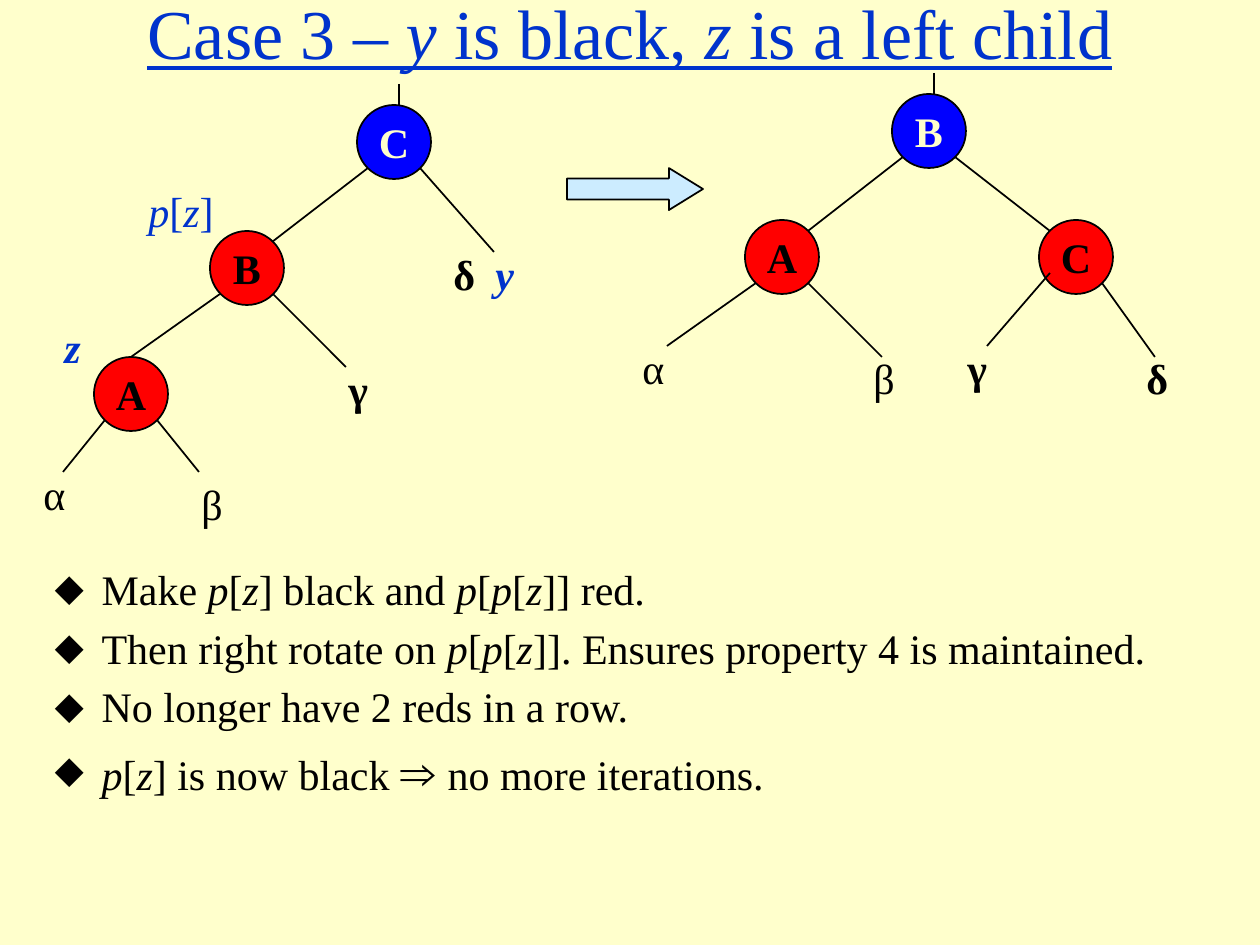
"""Build the slide on red-black deletion fixup, case 3."""
from lxml.etree import SubElement
from pptx import Presentation
from pptx.dml.color import RGBColor
from pptx.enum.shapes import MSO_CONNECTOR, MSO_SHAPE
from pptx.enum.text import MSO_ANCHOR, MSO_AUTO_SIZE, PP_ALIGN
from pptx.oxml.ns import qn
from pptx.util import Pt

PX = 914400 // 126
CREAM = RGBColor(0xFF, 0xFF, 0xCC)
PALE_BLUE = RGBColor(0xCC, 0xEC, 0xFF)
TITLE_BLUE = RGBColor(0x00, 0x33, 0xCC)
NODE_BLUE = RGBColor(0x00, 0x00, 0xFF)
NODE_RED = RGBColor(0xFF, 0x00, 0x00)
BLACK = RGBColor(0x00, 0x00, 0x00)
BODY_BLACK = RGBColor(0x01, 0x00, 0x00)
NODE_SIZE = 74


def write(paragraph, text, size=24, color=BLACK, bold=False, underline=False, align=PP_ALIGN.LEFT):
    paragraph.alignment = align
    for position, piece in enumerate(text.split("*")):
        if piece:
            run = paragraph.add_run()
            run.text = piece
            run.font.name = "Times New Roman"
            run.font.size = Pt(28 if piece.startswith("⇒") else size)
            run.font.color.rgb = color
            run.font.bold = bold
            run.font.italic = position % 2 == 1
            run.font.underline = underline


def place(shape, left, top, width, height):
    shape.left, shape.top = left * PX, top * PX
    shape.width, shape.height = width * PX, height * PX


presentation = Presentation()
presentation.slide_width, presentation.slide_height = 1260 * PX, 945 * PX
slide = presentation.slides.add_slide(presentation.slide_layouts[1])
slide.background.fill.solid()
slide.background.fill.fore_color.rgb = CREAM
shapes = slide.shapes

heading = shapes.title
place(heading, 0, -31, 1260, 126)
heading.text_frame.auto_size = MSO_AUTO_SIZE.NONE
heading.text_frame.vertical_anchor = MSO_ANCHOR.MIDDLE
write(heading.text_frame.paragraphs[0], "Case 3 – *y *is black, *z* is a left child",
      size=40, color=TITLE_BLUE, underline=True, align=PP_ALIGN.CENTER)

steps = slide.placeholders[1]
place(steps, 42, 557, 1166, 336)
steps.text_frame.auto_size = MSO_AUTO_SIZE.NONE
for number, step in enumerate([
    "Make *p*[*z*] black and *p*[*p*[*z*]] red.",
    "Then right rotate on *p*[*p*[*z*]]. Ensures property 4 is maintained.",
    "No longer have 2 reds in a row.",
    "*p*[*z*] is now black **⇒ **no more iterations.",
]):
    paragraph = steps.text_frame.add_paragraph() if number else steps.text_frame.paragraphs[0]
    write(paragraph, step, color=BODY_BLACK)
    properties = paragraph._p.get_or_add_pPr()
    properties.set("marL", str(47 * PX))
    properties.set("indent", str(-47 * PX))
    SubElement(properties, qn("a:buChar")).set("char", "⬥")

rotation = shapes.add_shape(MSO_SHAPE.RIGHT_ARROW, 567 * PX, 168 * PX, 136 * PX, 42 * PX)
rotation.adjustments[0], rotation.adjustments[1] = 0.5, 0.81
rotation.shadow.inherit = False
rotation.fill.solid()
rotation.fill.fore_color.rgb = PALE_BLUE
rotation.line.color.rgb = BLACK
rotation.line.width = Pt(1)

for key, left, top, fill, color in [
    ("C", 357, 105, NODE_BLUE, CREAM),
    ("B", 210, 231, NODE_RED, BLACK),
    ("A", 94, 357, NODE_RED, BLACK),
    ("B", 892, 94, NODE_BLUE, CREAM),
    ("A", 745, 220, NODE_RED, BLACK),
    ("C", 1039, 220, NODE_RED, BLACK),
]:
    node = shapes.add_shape(MSO_SHAPE.OVAL, left * PX, top * PX, NODE_SIZE * PX, NODE_SIZE * PX)
    node.shadow.inherit = False
    node.fill.solid()
    node.fill.fore_color.rgb = fill
    node.line.color.rgb = BLACK
    node.line.width = Pt(1)
    node.text_frame.word_wrap = False
    node.text_frame.vertical_anchor = MSO_ANCHOR.MIDDLE
    write(node.text_frame.paragraphs[0], key, color=color, bold=True, align=PP_ALIGN.CENTER)

for x1, y1, x2, y2 in [
    (399, 84, 399, 105), (368, 168, 272, 242), (420, 168, 494, 252),
    (220, 294, 131, 357), (273, 294, 346, 367), (105, 420, 63, 472), (157, 420, 199, 472),
    (934, 73, 934, 94), (903, 157, 808, 231), (955, 157, 1050, 231),
    (756, 283, 667, 346), (808, 283, 882, 357), (1050, 273, 987, 346), (1102, 283, 1155, 357),
]:
    edge = shapes.add_connector(MSO_CONNECTOR.STRAIGHT, x1 * PX, y1 * PX, x2 * PX, y2 * PX)
    edge.line.color.rgb = BLACK
    edge.line.width = Pt(1)
    SubElement(edge._element.spPr, qn("a:effectLst"))

for label, left, top, width, color, bold in [
    ("α", 31, 462, 52, BLACK, False),
    ("β", 189, 472, 48, BLACK, False),
    ("γ", 336, 357, 52, BLACK, True),
    ("δ", 441, 242, 47, BLACK, True),
    ("*y*", 483, 242, 44, TITLE_BLUE, True),
    ("*p*[*z*]", 136, 179, 91, TITLE_BLUE, False),
    ("*z*", 52, 315, 42, TITLE_BLUE, True),
    ("α", 630, 336, 52, BLACK, False),
    ("β", 861, 346, 48, BLACK, False),
    ("γ", 955, 336, 53, BLACK, True),
    ("δ", 1134, 346, 47, BLACK, True),
]:
    caption = shapes.add_textbox(left * PX, top * PX, width * PX, 63 * PX).text_frame
    caption.word_wrap = label in "γδ"
    caption.auto_size = MSO_AUTO_SIZE.SHAPE_TO_FIT_TEXT
    write(caption.paragraphs[0], label, color=color, bold=bold)

presentation.save("out.pptx")
